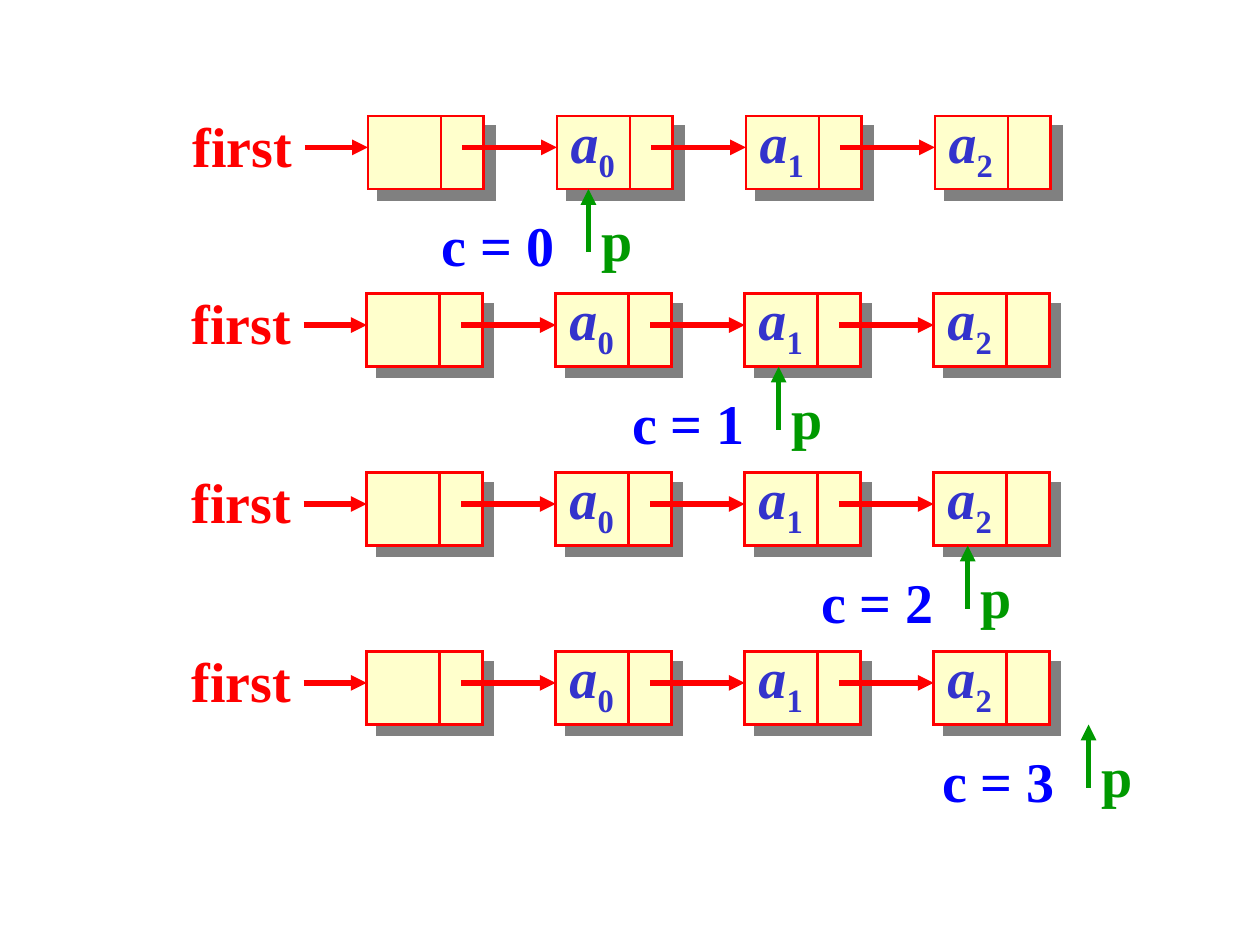
"""Build a slide that traces pointer p and counter c along a linked list."""
from lxml import etree
from pptx import Presentation
from pptx.dml.color import RGBColor
from pptx.enum.shapes import MSO_CONNECTOR, MSO_SHAPE
from pptx.enum.text import MSO_ANCHOR, MSO_AUTO_SIZE, PP_ALIGN
from pptx.oxml.ns import qn
from pptx.util import Inches, Pt

STRAIGHT = MSO_CONNECTOR.STRAIGHT
RECTANGLE = MSO_SHAPE.RECTANGLE
MIDDLE = MSO_ANCHOR.MIDDLE
FIT_SHAPE = MSO_AUTO_SIZE.SHAPE_TO_FIT_TEXT
CENTER = PP_ALIGN.CENTER

COLORS = {
    "list": "FF0000",
    "node": "FFFFCC",
    "shadow": "808080",
    "value": "3333CC",
    "counter": "0000FF",
    "pointer": "009900",
}
FONT = "Times New Roman"
HEAD_LABEL = "first"
POINTER_LABEL = "p"
NODE_VALUES = [None, ("a", "0"), ("a", "1"), ("a", "2")]
STEPS = [
    {"counter": "c = 0", "left": 2.92, "top": 0.92, "pointer": 4.67},
    {"counter": "c = 1", "left": 2.91, "top": 2.33, "pointer": 6.18},
    {"counter": "c = 2", "left": 2.91, "top": 3.75, "pointer": 7.68},
    {"counter": "c = 3", "left": 2.91, "top": 5.17, "pointer": 8.64},
]

NODE_WIDTH, NODE_HEIGHT, NODE_PITCH = 0.92, 0.58, 1.5
DIVIDER_OFFSET = 0.58
LINK_OFFSET, LINK_DROP = 0.75, 0.25
HEAD_ARROW_LENGTH, POINTER_LENGTH = 0.5, 0.5
LABEL_HEIGHT, VALUE_HEIGHT = 0.64, 0.71
HEAD_WIDTH, POINTER_WIDTH, VALUE_WIDTH, COUNTER_WIDTH = 0.99, 0.45, 0.55, 1.13


def rgb(name):
    return RGBColor.from_string(COLORS[name])


def add_line(slide, start, end, color, width, arrow=False):
    points = [Inches(value) for value in (*start, *end)]
    connector = slide.shapes.add_connector(STRAIGHT, *points)
    connector.line.color.rgb = rgb(color)
    connector.line.width = Pt(width)
    properties = connector._element.spPr
    if arrow:
        etree.SubElement(properties.find(qn("a:ln")), qn("a:tailEnd"), type="triangle")
    etree.SubElement(properties, qn("a:effectLst"))


def add_node(slide, left, top):
    box = [Inches(value) for value in (left, top, NODE_WIDTH, NODE_HEIGHT)]
    node = slide.shapes.add_shape(RECTANGLE, *box)
    node.fill.solid()
    node.fill.fore_color.rgb = rgb("node")
    node.line.color.rgb = rgb("list")
    node.line.width = Pt(1.5)
    node.shadow.inherit = False
    properties = node._element.spPr
    etree.SubElement(properties.find(qn("a:ln")), qn("a:miter"), lim="800000")
    shadow = etree.SubElement(
        properties.find(qn("a:effectLst")),
        qn("a:outerShdw"), dist=str(Pt(8.5)), dir="2700000", algn="ctr", rotWithShape="0",
    )
    etree.SubElement(shadow, qn("a:srgbClr"), val=COLORS["shadow"])
    divider = left + DIVIDER_OFFSET
    add_line(slide, (divider, top), (divider, top + NODE_HEIGHT), "list", 1.5)


def add_label(slide, text, left, top, width, color, subscript=None):
    height = VALUE_HEIGHT if subscript else LABEL_HEIGHT
    label = slide.shapes.add_textbox(Inches(left), Inches(top), Inches(width), Inches(height))
    frame = label.text_frame
    frame.text = text
    frame.word_wrap = False
    frame.auto_size = FIT_SHAPE
    frame.vertical_anchor = MIDDLE
    paragraph = frame.paragraphs[0]
    paragraph.alignment = CENTER
    if subscript:
        paragraph.runs[0].font.italic = True
        index = paragraph.add_run()
        index.text = subscript
        index.font._element.set("baseline", "-25000")
    for run in paragraph.runs:
        run.font.name = FONT
        run.font.size = Pt(32)
        run.font.bold = True
        run.font.color.rgb = rgb(color)


def add_step(slide, step):
    left, top, pointer = step["left"], step["top"], step["pointer"]
    link_y = top + LINK_DROP
    node_lefts = [left + NODE_PITCH * column for column in range(len(NODE_VALUES))]

    for node_left in node_lefts:
        add_node(slide, node_left, top)
    for node_left, next_left in zip(node_lefts, node_lefts[1:]):
        add_line(slide, (node_left + LINK_OFFSET, link_y), (next_left, link_y), "list", 3, True)

    head_start = left - HEAD_ARROW_LENGTH
    add_line(slide, (head_start, link_y), (left, link_y), "list", 3, True)
    add_label(slide, HEAD_LABEL, head_start - HEAD_WIDTH, top - 0.09, HEAD_WIDTH, "list")

    bottom = top + NODE_HEIGHT
    add_line(slide, (pointer, bottom + POINTER_LENGTH), (pointer, bottom), "pointer", 3, True)
    add_label(slide, POINTER_LABEL, pointer, top + 0.66, POINTER_WIDTH, "pointer")

    for node_left, value in zip(node_lefts, NODE_VALUES):
        if value:
            name, index = value
            add_label(slide, name, node_left + 0.01, top - 0.12, VALUE_WIDTH, "value", index)
    add_label(slide, step["counter"], pointer - 1.28, top + 0.7, COUNTER_WIDTH, "counter")


def main():
    presentation = Presentation()
    presentation.slide_width = Inches(10)
    presentation.slide_height = Inches(7.5)
    slide = presentation.slides.add_slide(presentation.slide_layouts[6])
    for step in STEPS:
        add_step(slide, step)
    presentation.save("out.pptx")


if __name__ == "__main__":
    main()
